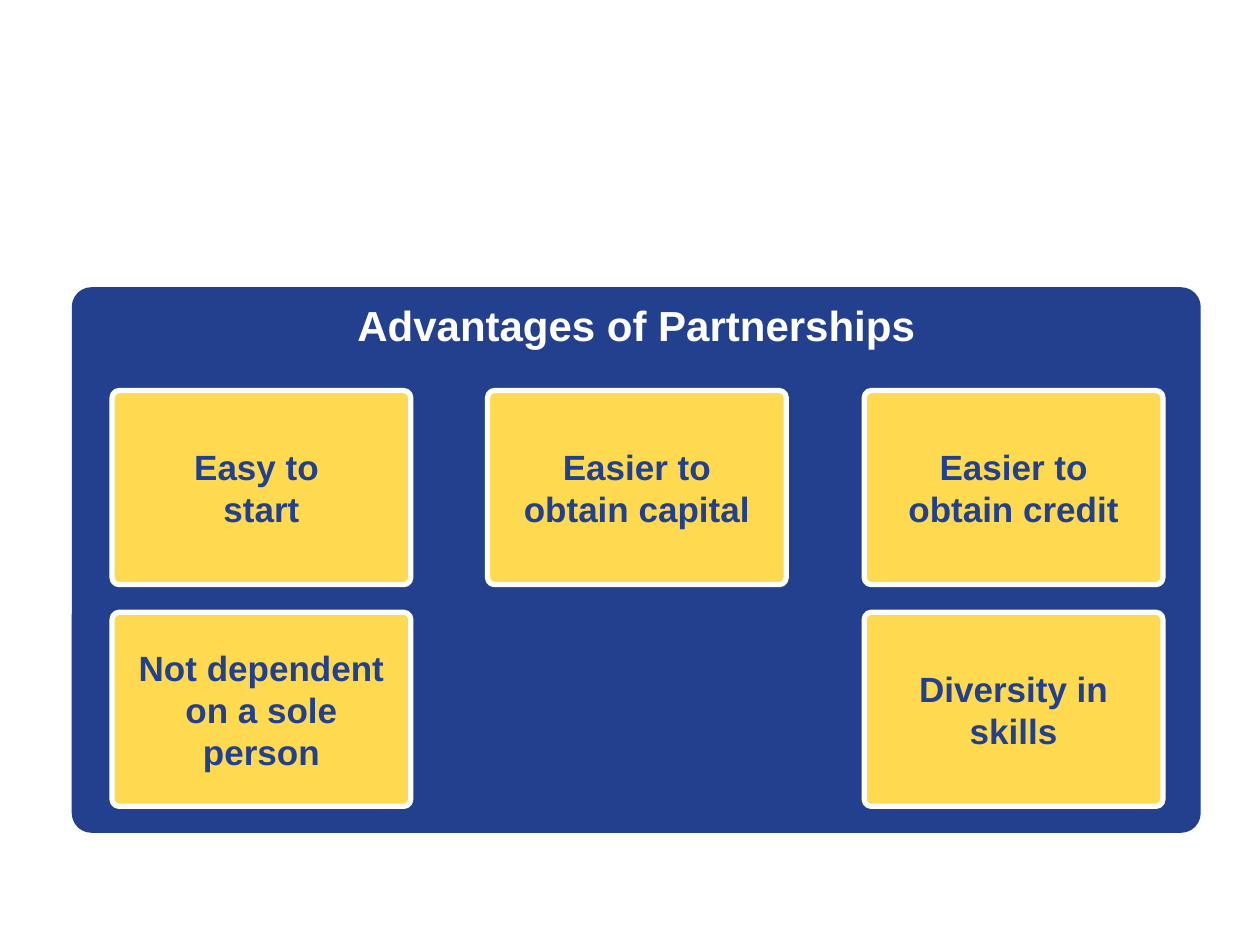
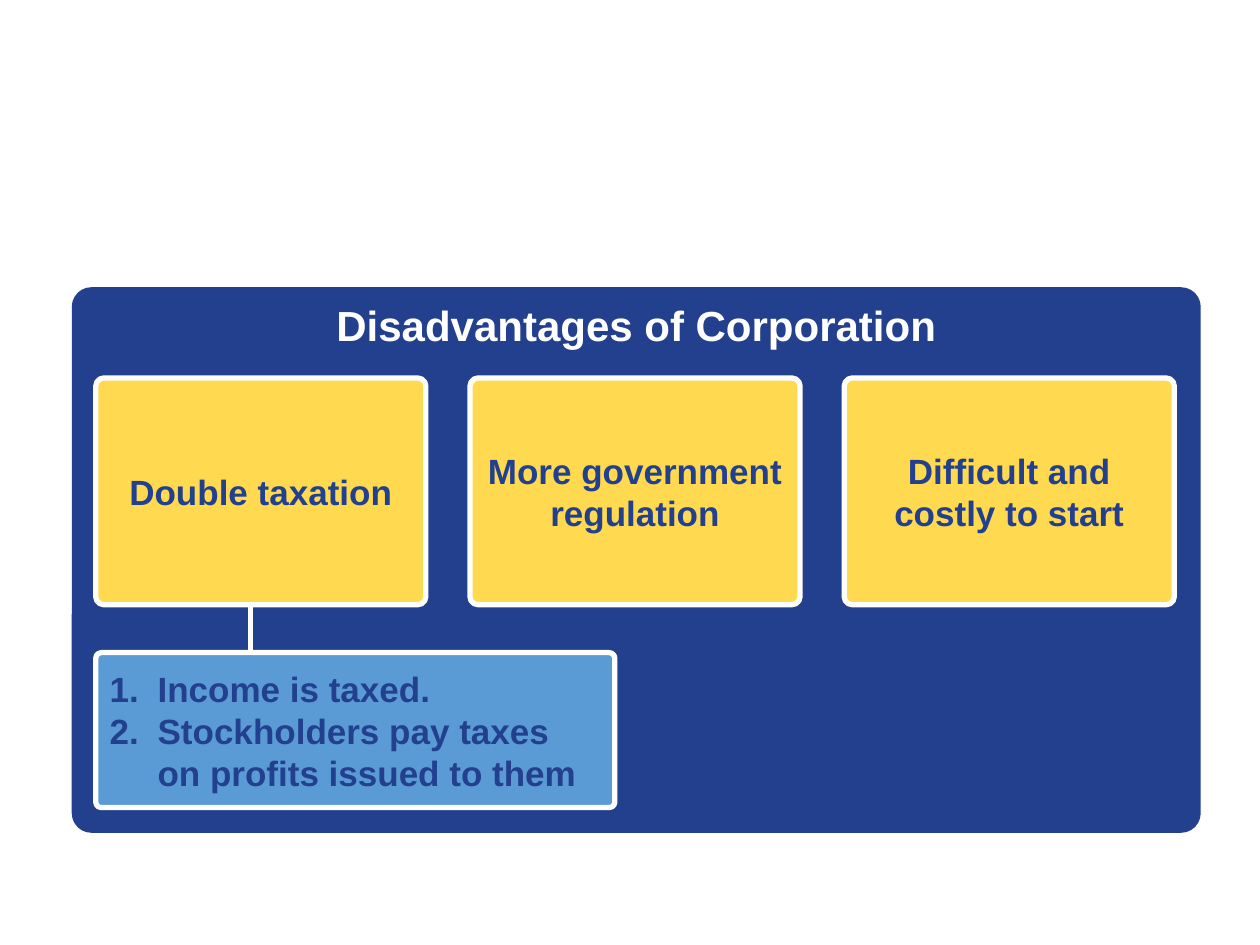
from dataclasses import dataclass

import lxml.etree
import pptx
import pptx.dml.color
import pptx.enum.shapes
import pptx.enum.text
import pptx.oxml.ns
import pptx.oxml.xmlchemy
import pptx.presentation
import pptx.shapes.autoshape
import pptx.slide
import pptx.util

PX = 9144
FONT = "Arial"
CORNER = 0.036
BORDER = 3
LINE_RATIO = 1.2
COLORS = {"navy": "23408F", "yellow": "FFD94F", "blue": "5B9BD5", "white": "FFFFFF"}
ALIGN = pptx.enum.text.PP_ALIGN
ANCHOR = pptx.enum.text.MSO_ANCHOR


@dataclass(frozen=True)
class Box:
    left: int
    top: int
    width: int
    height: int


@dataclass(frozen=True)
class Style:
    fill: str
    ink: str
    size: int
    bordered: bool = True
    anchor: ANCHOR = ANCHOR.MIDDLE
    align: ALIGN = ALIGN.CENTER
    wrap: bool = True


@dataclass(frozen=True)
class Grid:
    first: Box
    last_left: int
    row_step: int

    def cell(self, row: int, column: int) -> Box:
        first = self.first
        left = first.left + column * (self.last_left - first.left) // 2
        return Box(left, first.top + row * self.row_step, first.width, first.height)


PANEL = Box(57, 228, 896, 433)
PANEL_STYLE = Style("navy", "white", 24, False, ANCHOR.TOP, wrap=False)
CARD_STYLE = Style("yellow", "navy", 20)
NOTE_STYLE = Style("blue", "navy", 20, align=ALIGN.LEFT)

ADVANTAGE_GRID = Grid(Box(89, 310, 237, 154), 686, 176)
ADVANTAGES = {
    (0, 0): "Easy to \vstart",
    (0, 1): "Easier to\vobtain capital",
    (0, 2): "Easier to\vobtain credit",
    (1, 0): "Not dependent on a sole person",
    (1, 2): "Diversity in skills",
}
DISADVANTAGE_GRID = Grid(Box(76, 300, 262, 180), 670, 0)
DISADVANTAGES = {
    (0, 0): "Double taxation",
    (0, 1): "More government\vregulation",
    (0, 2): "Difficult and\vcostly to start",
}
TAX_NOTE = Box(76, 518, 412, 123)
TAX_POINTS = ["Income is taxed.", "Stockholders pay taxes on profits issued to them"]
TAX_LINK_X = 199
NUMBER_INDENT = 38
NOTE_RIGHT_MARGIN = 15


def rgb(name: str) -> pptx.dml.color.RGBColor:
    return pptx.dml.color.RGBColor.from_string(COLORS[name])


def draw_box(
    slide: pptx.slide.Slide, box: Box, text: str, style: Style
) -> pptx.shapes.autoshape.Shape:
    shape = slide.shapes.add_shape(
        pptx.enum.shapes.MSO_SHAPE.ROUNDED_RECTANGLE,
        box.left * PX, box.top * PX, box.width * PX, box.height * PX,
    )
    shape.adjustments[0] = CORNER
    shape.shadow.inherit = False
    shape.fill.solid()
    shape.fill.fore_color.rgb = rgb(style.fill)
    if style.bordered:
        shape.line.color.rgb = rgb("white")
        shape.line.width = pptx.util.Pt(BORDER)
    else:
        shape.line.fill.background()
    frame = shape.text_frame
    frame.word_wrap = style.wrap
    frame.vertical_anchor = style.anchor
    frame.text = text
    for paragraph in frame.paragraphs:
        paragraph.alignment = style.align
        paragraph.line_spacing = pptx.util.Pt(style.size * LINE_RATIO)
        for run in paragraph.runs:
            run.font.name = FONT
            run.font.size = pptx.util.Pt(style.size)
            run.font.bold = True
            run.font.color.rgb = rgb(style.ink)
    return shape


def number_points(note: pptx.shapes.autoshape.Shape) -> None:
    for paragraph in note.text_frame.paragraphs:
        properties = paragraph._p.get_or_add_pPr()
        properties.set("marL", str(NUMBER_INDENT * PX))
        properties.set("indent", str(-NUMBER_INDENT * PX))
        numbering = lxml.etree.SubElement(properties, pptx.oxml.ns.qn("a:buAutoNum"))
        numbering.set("type", "arabicPeriod")


def draw_link(slide: pptx.slide.Slide, x: int, top: int, bottom: int) -> None:
    link = slide.shapes.add_connector(
        pptx.enum.shapes.MSO_CONNECTOR.STRAIGHT, x * PX, top * PX, x * PX, bottom * PX
    )
    link.line.color.rgb = rgb("white")
    link.line.width = pptx.util.Pt(BORDER)
    lxml.etree.SubElement(link._element.spPr, pptx.oxml.ns.qn("a:effectLst"))


def add_panel_slide(
    deck: pptx.presentation.Presentation,
    title: str,
    grid: Grid,
    cards: dict[tuple[int, int], str],
) -> pptx.slide.Slide:
    slide = deck.slides.add_slide(deck.slide_layouts[6])
    draw_box(slide, PANEL, title, PANEL_STYLE)
    for (row, column), text in cards.items():
        draw_box(slide, grid.cell(row, column), text, CARD_STYLE)
    return slide


def main() -> None:
    deck = pptx.Presentation()
    deck.slide_width = 1000 * PX
    deck.slide_height = 750 * PX

    add_panel_slide(deck, "Advantages of Partnerships", ADVANTAGE_GRID, ADVANTAGES)
    corporation = add_panel_slide(
        deck, "Disadvantages of Corporation", DISADVANTAGE_GRID, DISADVANTAGES
    )
    note = draw_box(corporation, TAX_NOTE, "\n".join(TAX_POINTS), NOTE_STYLE)
    note.text_frame.margin_right = NOTE_RIGHT_MARGIN * PX
    number_points(note)
    taxation = DISADVANTAGE_GRID.first
    draw_link(corporation, TAX_LINK_X, taxation.top + taxation.height, TAX_NOTE.top)

    deck.save("out.pptx")


if __name__ == "__main__":
    main()
